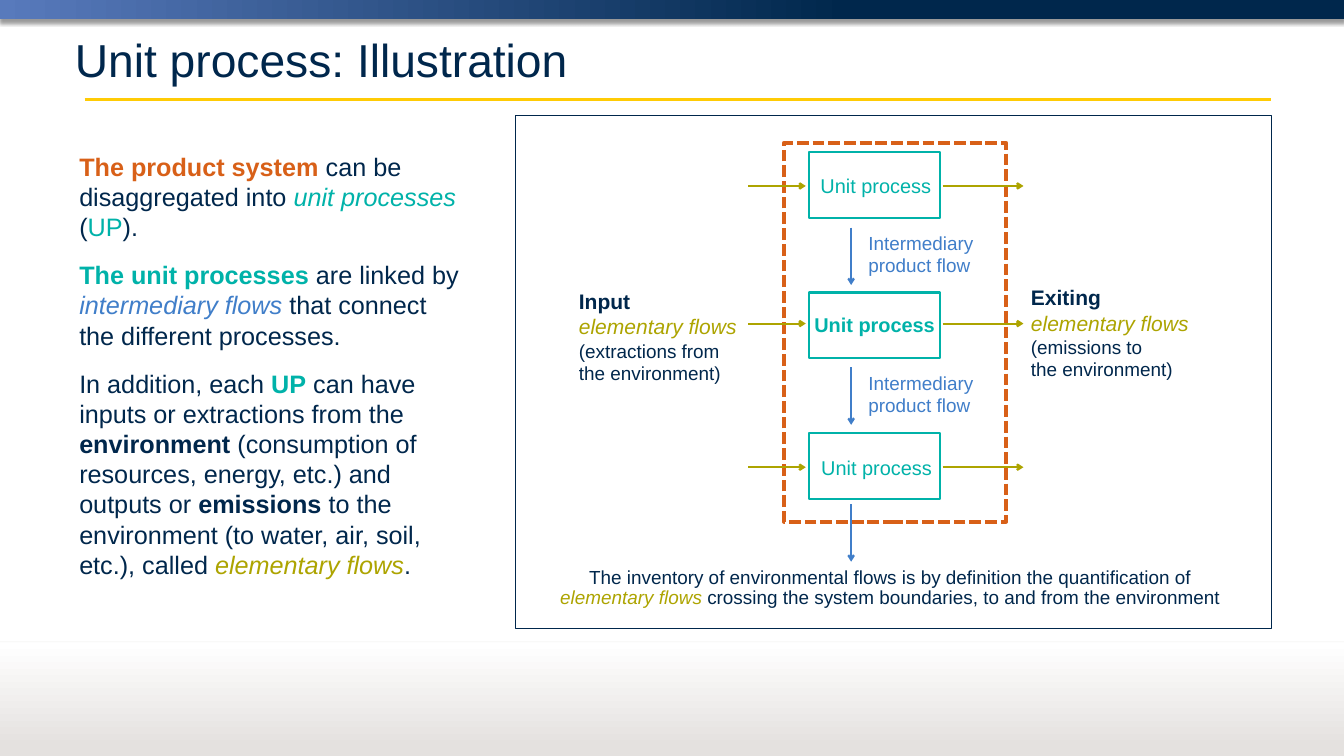
from lxml.etree import SubElement
from pptx import Presentation
from pptx.dml.color import RGBColor
from pptx.enum.dml import MSO_LINE
from pptx.enum.shapes import MSO_CONNECTOR, MSO_SHAPE
from pptx.enum.text import MSO_ANCHOR, PP_ALIGN
from pptx.oxml import parse_xml
from pptx.oxml.ns import nsdecls, qn
from pptx.util import Inches, Pt

NAVY = RGBColor(0x00, 0x27, 0x4C)
BLUE = RGBColor(0x40, 0x7E, 0xC9)
SKY = RGBColor(0x58, 0x7A, 0xBC)
TEAL = RGBColor(0x00, 0xB2, 0xA9)
ORANGE = RGBColor(0xD8, 0x60, 0x18)
OLIVE = RGBColor(0xAD, 0xA4, 0x00)
MAIZE = RGBColor(0xFF, 0xCB, 0x05)
STONE = RGBColor(0xE4, 0xE1, 0xDF)
WHITE = RGBColor(0xFF, 0xFF, 0xFF)
WIDTH, HEIGHT = 17.78, 10

prs = Presentation()
prs.slide_width, prs.slide_height = Inches(WIDTH), Inches(HEIGHT)
slide = prs.slides.add_slide(prs.slide_layouts[5])
shapes = slide.shapes


def add_line(start, end, color, width, arrow=False):
    line = shapes.add_connector(MSO_CONNECTOR.STRAIGHT, *map(Inches, start + end))
    line.line.color.rgb, line.line.width = color, Pt(width)
    SubElement(line._element.spPr, qn("a:effectLst"))
    if arrow:
        SubElement(line.line._get_or_add_ln(), qn("a:tailEnd"), type="arrow")
    return line


def add_text(box, paragraphs, align=PP_ALIGN.LEFT, wrap=True):
    """Each paragraph is a list of (text, size, color, style); style holds b and i."""
    frame = shapes.add_textbox(*map(Inches, box)).text_frame
    frame.word_wrap = wrap
    for number, pieces in enumerate(paragraphs):
        paragraph = frame.add_paragraph() if number else frame.paragraphs[0]
        paragraph.alignment = align
        for text, size, color, style in pieces:
            for row, part in enumerate(text.split("\n")):
                if row:
                    paragraph.add_line_break()
                if part:
                    run = paragraph.add_run()
                    run.text = part
                    run.font.name, run.font.size = "Arial", Pt(size)
                    run.font.color.rgb = color
                    run.font.bold, run.font.italic = "b" in style, "i" in style
    return frame


# Bands and rules at the top and bottom
for top, height, angle, stops in [
    (0, 0.25, 0, [(0, SKY), (0.63, NAVY)]),
    (0.85 * HEIGHT, 0.15 * HEIGHT, 90, [(0.08, STONE), (1, WHITE)]),
]:
    band = shapes.add_shape(MSO_SHAPE.RECTANGLE, 0, Inches(top), prs.slide_width, Inches(height))
    band.shadow.inherit = False
    band.line.fill.background()
    band.fill.gradient()
    band.fill.gradient_angle = angle
    for stop, (position, color) in zip(band.fill.gradient_stops, stops):
        stop.position, stop.color.rgb = position, color
    if top == 0:
        header = band

add_line((1.12, 1.32), (16.81, 1.32), MAIZE, 3)
footer_rule = add_line((0, 8.49), (WIDTH, 8.49), STONE, 0.75)
rule_color = footer_rule._element.spPr.find(".//" + qn("a:srgbClr"))
SubElement(rule_color, qn("a:alpha"), val="30000")

for part, blur, distance, alpha in [(header, 4, 3, 40), (footer_rule, 3.1, 1.6, 38)]:
    part._element.spPr.find(qn("a:effectLst")).append(parse_xml(
        f'<a:outerShdw {nsdecls("a")} blurRad="{Pt(blur)}" dist="{Pt(distance)}" dir="5400000" '
        f'rotWithShape="0"><a:srgbClr val="000000"><a:alpha val="{alpha * 1000}"/></a:srgbClr>'
        '</a:outerShdw>'))

# Title
title = shapes.title
title.left, title.top, title.width, title.height = map(Inches, (0.89, 0.31, 16, 0.95))
title.text_frame.text = "Unit process: Illustration"
title.text_frame.vertical_anchor = MSO_ANCHOR.MIDDLE
heading = title.text_frame.paragraphs[0]
heading.alignment = PP_ALIGN.LEFT
heading.runs[0].font.name, heading.runs[0].font.size = "Arial", Pt(44)
heading.runs[0].font.color.rgb = NAVY

# Explanation on the left
explanation = add_text((0.95, 1.95, 5.22, 6.31), [
    [("The product system ", 24, ORANGE, "b"), ("can be disaggregated into ", 24, NAVY, ""),
     ("unit processes ", 24, TEAL, "i"), ("(", 24, NAVY, ""), ("UP", 24, TEAL, ""),
     (").", 24, NAVY, "")],
    [("The unit processes ", 24, TEAL, "b"), ("are linked by ", 24, NAVY, ""),
     ("intermediary flows ", 24, BLUE, "i"),
     ("that connect the different processes.", 24, NAVY, "")],
    [("In addition, each ", 24, NAVY, ""), ("UP", 24, TEAL, "b"),
     (" can have inputs or extractions from the ", 24, NAVY, ""),
     ("environment ", 24, NAVY, "b"),
     ("(consumption of resources, energy, etc.) and outputs or ", 24, NAVY, ""),
     ("emissions", 24, NAVY, "b"),
     (" to the environment (to water, air, soil, etc.), called ", 24, NAVY, ""),
     ("elementary flows", 24, OLIVE, "i"), (".", 24, NAVY, "")],
])
for paragraph in explanation.paragraphs[:-1]:
    paragraph.space_after = Pt(12)
for paragraph in explanation.paragraphs[1:]:
    paragraph.space_before = Pt(4.8)

# Diagram: unit processes, system boundary and frame
PROCESS_TOP, PROCESS_PITCH = 2.01, 1.86
outlines = [((10.7, PROCESS_TOP + row * PROCESS_PITCH, 1.74, 0.87), TEAL, 2) for row in range(3)]
outlines += [((10.37, 1.89, 2.94, 5.01), ORANGE, 3.75), ((6.82, 1.53, 10, 6.78), NAVY, 0.75)]
for box, color, width in outlines:
    outline = shapes.add_shape(MSO_SHAPE.RECTANGLE, *map(Inches, box))
    outline.shadow.inherit = False
    outline.fill.background()
    outline.line.color.rgb, outline.line.width = color, Pt(width)
    if color == ORANGE:
        outline.line.dash_style = MSO_LINE.SQUARE_DOT

# Process names
for left, top, width, style in [
    (10.74, 2.25, 1.69, ""), (10.66, 4.08, 1.82, "b"), (10.75, 5.98, 1.69, ""),
]:
    add_text((left, top, width, 0.42), [[("Unit process", 19, TEAL, style)]],
             PP_ALIGN.CENTER, wrap=False)

# Elementary flows run across, intermediary flows run down
for y in (2.46, 4.28, 6.18):
    add_line((9.9, y), (10.66, y), OLIVE, 2, arrow=True)
    add_line((12.47, y), (13.54, y), OLIVE, 2, arrow=True)
for y in (3.01, 4.86, 6.67):
    add_line((11.26, y), (11.26, y + 0.76), BLUE, 2, arrow=True)
for y in (3.01, 4.86):
    add_text((11.39, y, 1.85, 0.71), [[("Intermediary product flow", 18, BLUE, "")]])

# Flow descriptions
add_text((7.56, 3.77, 2.43, 1.38), [
    [("Input \n", 20, NAVY, "b"), ("elementary flows \n", 20, OLIVE, "i"),
     ("(extractions from \nthe environment)", 18, NAVY, "")],
])
add_text((13.54, 3.72, 2.52, 1.38), [
    [("Exiting\n", 20, NAVY, "b"), ("elementary flows", 20, OLIVE, "i")],
    [("(emissions to \nthe environment)", 18, NAVY, "")],
])
inventory = add_text((7.31, 7.46, 9, 0.65), [
    [("The inventory of environmental flows is by definition the quantification of \n",
      18, NAVY, ""), ("elementary flows ", 18, OLIVE, "i"),
     ("crossing the system boundaries, to and from the environment ", 18, NAVY, "")],
], PP_ALIGN.CENTER)
inventory.paragraphs[0].line_spacing = 0.9

prs.save("out.pptx")
